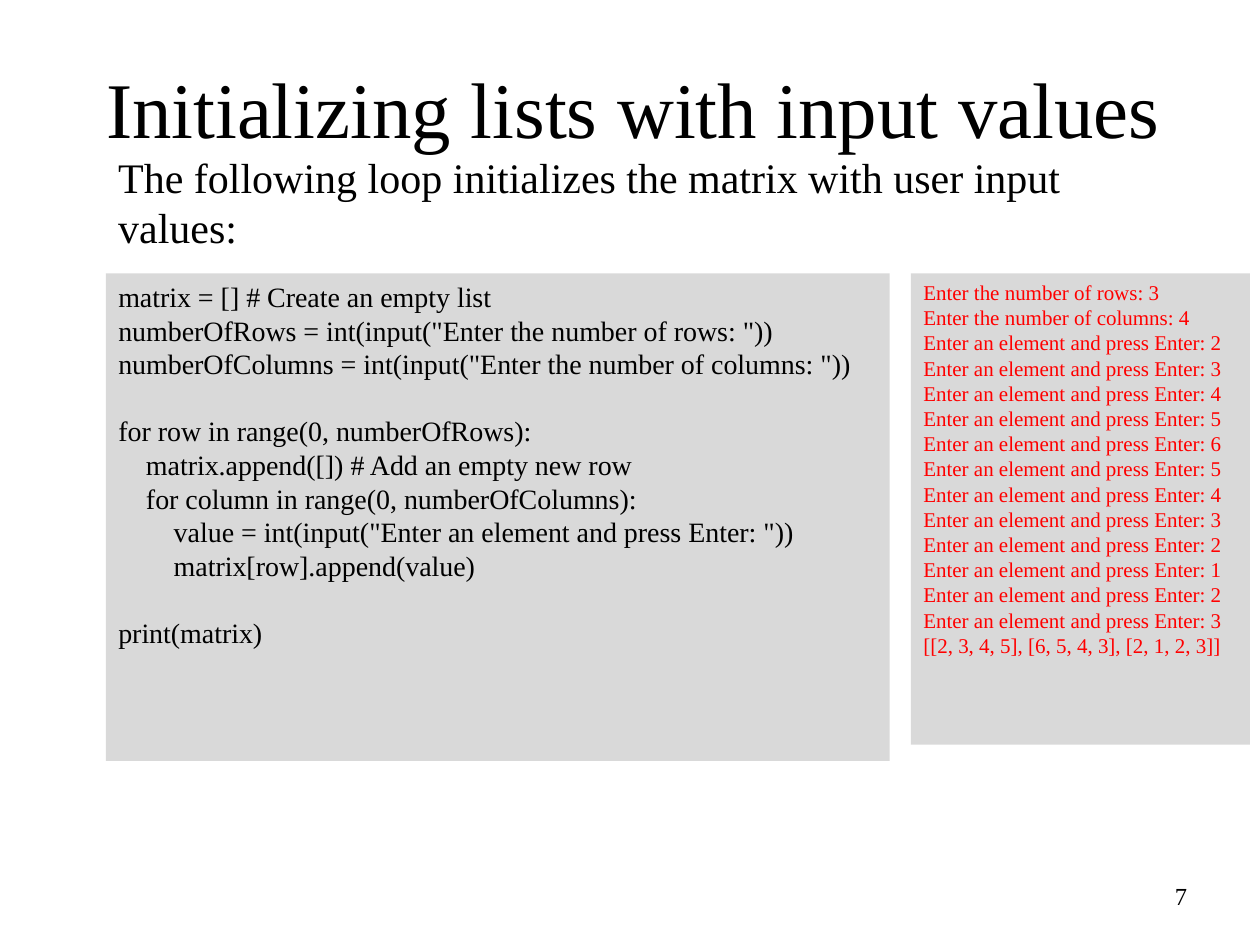
from pptx import Presentation
from pptx import util as u
from pptx.dml.color import RGBColor
from pptx.enum import shapes, text

BLACK = RGBColor(0x00, 0x00, 0x00)
RED = RGBColor(0xFF, 0x00, 0x00)
GRAY = RGBColor(0xD9, 0xD9, 0xD9)
FONT = "Times New Roman"
LINE_PITCH = 1.2
CODE_SIZE = 16
OUTPUT_SIZE = 12

CODE = [
    [(0, "matrix = [] # Create an empty list"),
     (0, 'numberOfRows = int(input("Enter the number of rows: "))'),
     (0, 'numberOfColumns = int(input("Enter the number of columns: "))')],
    [(0, "for row in range(0, numberOfRows):"),
     (1, "matrix.append([]) # Add an empty new row"),
     (1, "for column in range(0, numberOfColumns):"),
     (2, 'value = int(input("Enter an element and press Enter: "))'),
     (2, "matrix[row].append(value)")],
    [(0, "print(matrix)")],
]
MATRIX = [[2, 3, 4, 5], [6, 5, 4, 3], [2, 1, 2, 3]]


def set_frame(frame, anchor=text.MSO_ANCHOR.TOP):
    settings = {
        "word_wrap": True,
        "auto_size": text.MSO_AUTO_SIZE.NONE,
        "vertical_anchor": anchor,
        "margin_left": u.Inches(0.1),
        "margin_right": u.Inches(0.1),
        "margin_top": u.Inches(0.05),
        "margin_bottom": u.Inches(0.05),
    }
    for key, value in settings.items():
        setattr(frame, key, value)


def write_line(paragraph, words, size, color=BLACK, align=text.PP_ALIGN.LEFT):
    paragraph.alignment = align
    paragraph.line_spacing = u.Pt(size * LINE_PITCH)
    run = paragraph.add_run()
    run.text = words
    run.font.color.rgb = color
    for key, value in {"name": FONT, "size": u.Pt(size)}.items():
        setattr(run.font, key, value)


def next_paragraph(frame, index):
    return frame.add_paragraph() if index else frame.paragraphs[0]


def add_title(slide, box, words):
    title = slide.shapes.title
    for key, value in zip(("left", "top", "width", "height"), box):
        setattr(title, key, value)
    set_frame(title.text_frame, text.MSO_ANCHOR.MIDDLE)
    write_line(title.text_frame.paragraphs[0], words, 45,
               align=text.PP_ALIGN.CENTER)


def add_label(slide, box, words, size, align=text.PP_ALIGN.LEFT,
              anchor=text.MSO_ANCHOR.TOP):
    frame = slide.shapes.add_textbox(*box).text_frame
    set_frame(frame, anchor)
    write_line(frame.paragraphs[0], words, size, align=align)


def add_panel(slide, box):
    panel = slide.shapes.add_shape(shapes.MSO_SHAPE.RECTANGLE, *box)
    panel.shadow.inherit = False
    panel.fill.solid()
    panel.fill.fore_color.rgb = GRAY
    panel.line.fill.background()
    set_frame(panel.text_frame)
    return panel.text_frame


def add_output(slide, box):
    frame = add_panel(slide, box)
    lines = [f"Enter the number of rows: {len(MATRIX)}",
             f"Enter the number of columns: {len(MATRIX[0])}"]
    lines += [f"Enter an element and press Enter: {value}"
              for row in MATRIX for value in row]
    lines.append(str(MATRIX))
    for index, line in enumerate(lines):
        write_line(next_paragraph(frame, index), line, OUTPUT_SIZE, RED)


def add_code(slide, box):
    frame = add_panel(slide, box)
    index = 0
    for block_number, block in enumerate(CODE):
        for line_number, (depth, line) in enumerate(block):
            paragraph = next_paragraph(frame, index)
            write_line(paragraph, line, CODE_SIZE)
            properties = paragraph._p.get_or_add_pPr()
            properties.set("marL", str(u.Inches(0.22 * depth)))
            if block_number and line_number == 0:
                paragraph.space_before = u.Pt(CODE_SIZE * LINE_PITCH)
            index += 1


def inches(*lengths):
    return [u.Inches(length) for length in lengths]


def main():
    deck = Presentation()
    deck.slide_width, deck.slide_height = inches(10, 7.5)
    slide = deck.slides.add_slide(deck.slide_layouts[5])
    add_label(slide, inches(7.44, 6.86, 2.08, 0.5), "7", 14,
              text.PP_ALIGN.RIGHT, text.MSO_ANCHOR.MIDDLE)
    add_title(slide, inches(0.34, 0.42, 9.37, 0.86),
              "Initializing lists with input values")
    add_output(slide, inches(7.23, 2.17, 2.69, 3.74))
    add_code(slide, inches(0.84, 2.17, 6.22, 3.87))
    add_label(slide, inches(0.84, 1.15, 8.23, 0.91),
              "The following loop initializes the matrix with user input values:", 24)
    deck.save("out.pptx")


if __name__ == "__main__":
    main()
